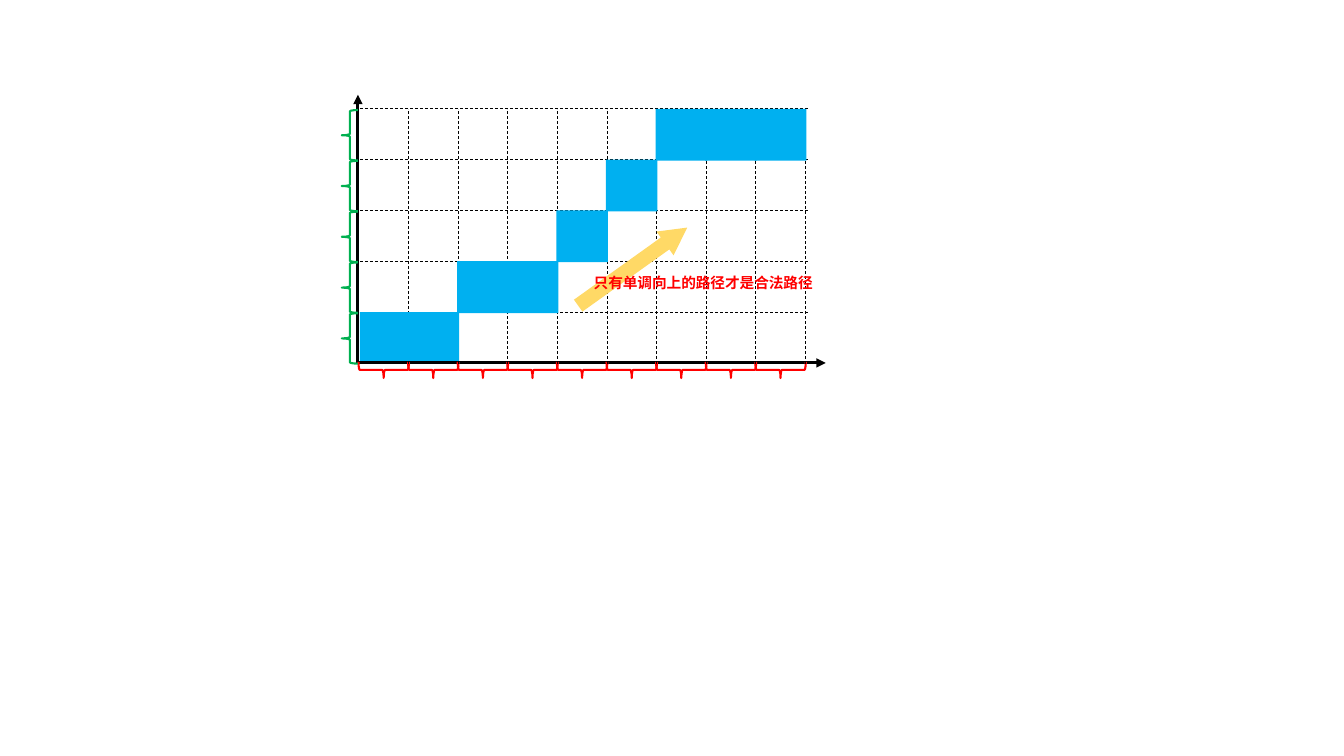
import pptx
import pptx.dml.color
import pptx.enum.dml
import pptx.enum.shapes
import pptx.enum.text
import pptx.oxml
import pptx.oxml.ns
import pptx.util

COLORS = {
    "axis": "000000",
    "column_brace": "FF0000",
    "row_brace": "00B050",
    "path_cell": "00B0F0",
    "direction": "FFD966",
    "caption": "FF0000",
}
FONT = "Noto Sans CJK SC"
SHAPES = pptx.enum.shapes.MSO_SHAPE

COLUMNS, ROWS = 9, 5
ORIGIN_X, ORIGIN_Y = 3.55, 3.6
COLUMN_WIDTH, ROW_HEIGHT = 0.49, 0.5
BRACE_DEPTH, BRACE_LENGTH = 0.16, 0.5
CELL_OVERLAP = 0.01
AXIS_GAP = 0.02
PATH_CELLS = [(0, 0), (1, 0), (2, 1), (3, 1), (4, 2),
              (5, 3), (6, 4), (7, 4), (8, 4)]


def column_x(column):
    return ORIGIN_X + 0.01 + column * (COLUMN_WIDTH + 0.002)


def row_y(row):
    """Height of a grid line, counted upwards from the horizontal axis."""
    return ORIGIN_Y - row * (ROW_HEIGHT + 0.004)


def rgb(name):
    return pptx.dml.color.RGBColor.from_string(COLORS[name])


def add_line(slide, start, end, width):
    points = [pptx.util.Inches(value) for value in (*start, *end)]
    line = slide.shapes.add_connector(
        pptx.enum.shapes.MSO_CONNECTOR.STRAIGHT, *points)
    line.line.color.rgb = rgb("axis")
    line.line.width = pptx.util.Pt(width)
    line._element.spPr.append(pptx.oxml.parse_xml(
        f"<a:effectLst {pptx.oxml.ns.nsdecls('a')}/>"))
    return line


def add_axis(slide, end):
    axis = add_line(slide, (ORIGIN_X, ORIGIN_Y), end, 2.25)
    axis.line._get_or_add_ln().append(pptx.oxml.parse_xml(
        f"<a:tailEnd {pptx.oxml.ns.nsdecls('a')} type='triangle'/>"))


def add_grid_line(slide, start, end):
    grid_line = add_line(slide, start, end, 0.5)
    grid_line.line.dash_style = pptx.enum.dml.MSO_LINE.DASH


def add_preset(slide, kind, left, top, width, height, rotation=0):
    box = [pptx.util.Inches(value) for value in (left, top, width, height)]
    preset = slide.shapes.add_shape(kind, *box)
    preset.shadow.inherit = False
    preset.rotation = rotation
    return preset


def add_brace(slide, center_x, center_y, color, rotation=0):
    brace = add_preset(slide, SHAPES.LEFT_BRACE,
                       center_x - BRACE_DEPTH / 2, center_y - BRACE_LENGTH / 2,
                       BRACE_DEPTH, BRACE_LENGTH, rotation)
    brace.fill.background()
    brace.line.color.rgb = rgb(color)
    brace.line.width = pptx.util.Pt(1.5)


def fill_plain(preset, color):
    preset.fill.solid()
    preset.fill.fore_color.rgb = rgb(color)
    preset.line.fill.background()


def add_path_cell(slide, column, row):
    """Fill one grid cell, leaving both axes uncovered."""
    left = max(column_x(column) - CELL_OVERLAP, ORIGIN_X + AXIS_GAP)
    right = column_x(column + 1) + CELL_OVERLAP
    top = row_y(row + 1)
    bottom = min(row_y(row) + CELL_OVERLAP, ORIGIN_Y - AXIS_GAP)
    cell = add_preset(slide, SHAPES.RECTANGLE,
                      left, top, right - left, bottom - top)
    fill_plain(cell, "path_cell")


def add_direction_arrow(slide):
    arrow = add_preset(slide, SHAPES.UP_ARROW, 6.13, 1.98, 0.29, 1.33, 54.4)
    arrow.adjustments[0] = 0.5
    arrow.adjustments[1] = 0.932
    fill_plain(arrow, "direction")


def add_caption(slide, text):
    box = [pptx.util.Inches(value) for value in (5.79, 2.67, 2.41, 0.28)]
    frame = slide.shapes.add_textbox(*box).text_frame
    frame.text = text
    frame.word_wrap = False
    frame.auto_size = pptx.enum.text.MSO_AUTO_SIZE.SHAPE_TO_FIT_TEXT
    run = frame.paragraphs[0].runs[0]
    run.font.size = pptx.util.Pt(10.5)
    run.font.bold = True
    run.font.color.rgb = rgb("caption")
    run.font.name = FONT
    run.font._element.append(pptx.oxml.parse_xml(
        f"<a:ea {pptx.oxml.ns.nsdecls('a')} typeface='{FONT}'/>"))


def main():
    presentation = pptx.Presentation()
    presentation.slide_width = pptx.util.Inches(13.33)
    presentation.slide_height = pptx.util.Inches(7.5)
    slide = presentation.slides.add_slide(presentation.slide_layouts[6])

    add_axis(slide, (8.19, ORIGIN_Y))
    add_axis(slide, (ORIGIN_X, 0.94))
    for column in range(COLUMNS):
        add_brace(slide, column_x(column + 0.5), ORIGIN_Y + 0.07,
                  "column_brace", 270)
    for row in range(ROWS):
        add_brace(slide, ORIGIN_X - 0.08, row_y(row + 0.5) + 0.01, "row_brace")
    for row in range(1, ROWS + 1):
        add_grid_line(slide, (ORIGIN_X + AXIS_GAP, row_y(row)),
                      (8.03, row_y(row)))
    for column in range(1, COLUMNS + 1):
        add_grid_line(slide, (column_x(column), ORIGIN_Y + 0.01),
                      (column_x(column), row_y(ROWS)))
    for column, row in PATH_CELLS:
        add_path_cell(slide, column, row)
    add_direction_arrow(slide)
    add_caption(slide, "只有单调向上的路径才是合法路径")

    presentation.save("out.pptx")


if __name__ == "__main__":
    main()
